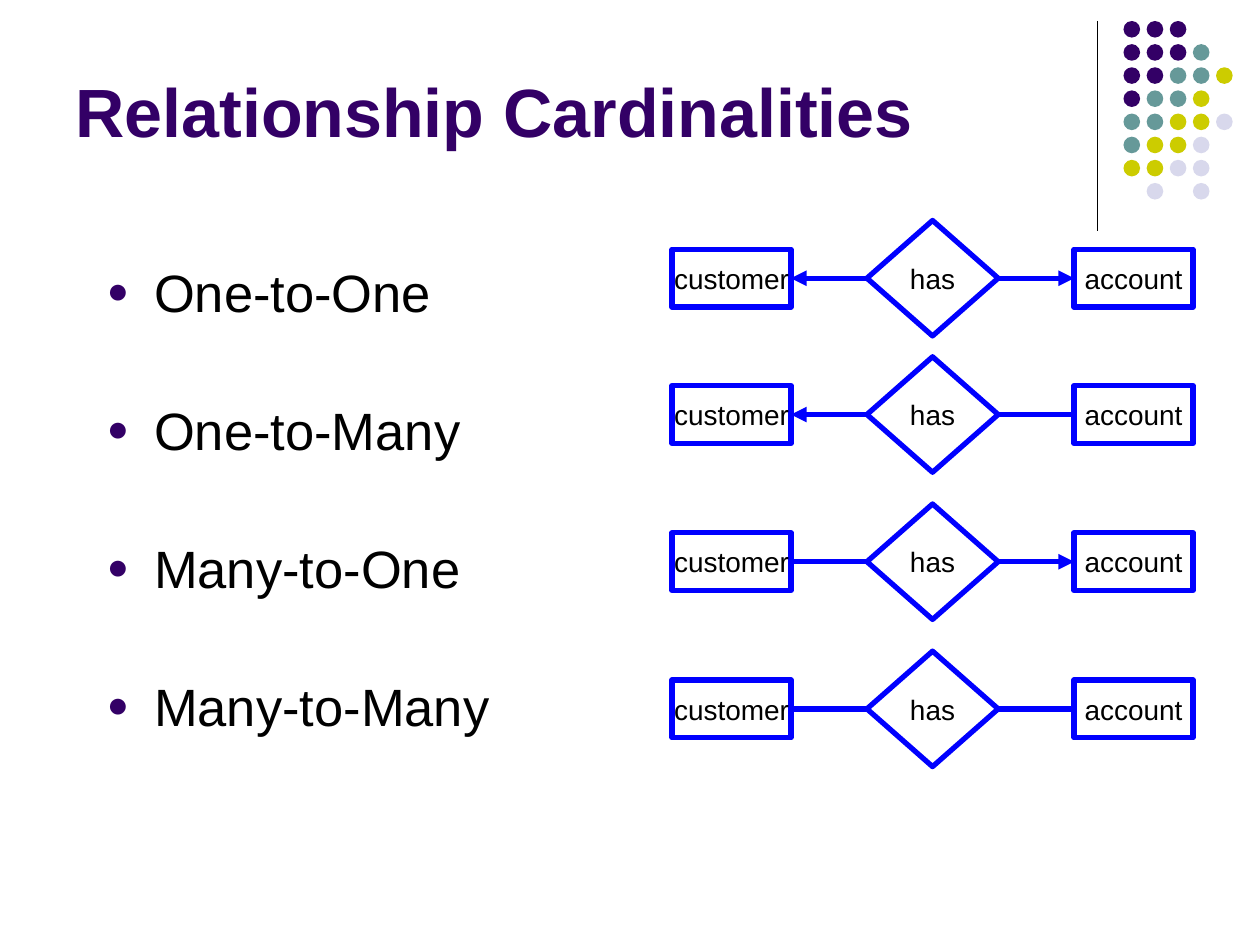
from lxml import etree
from pptx import Presentation
from pptx.dml.color import RGBColor
from pptx.enum.shapes import MSO_CONNECTOR, MSO_SHAPE
from pptx.enum.text import MSO_ANCHOR, PP_ALIGN
from pptx.oxml.ns import qn
from pptx.util import Pt

PURPLE = RGBColor(0x33, 0x00, 0x66)
TEAL = RGBColor(0x66, 0x99, 0x99)
OLIVE = RGBColor(0xCC, 0xCC, 0x00)
LAVENDER = RGBColor(0xD8, 0xD8, 0xEC)
BLUE = RGBColor(0x00, 0x00, 0xFF)
BLACK = RGBColor(0x00, 0x00, 0x00)

STRAIGHT = MSO_CONNECTOR.STRAIGHT
ELLIPSE, RECTANGLE, DIAMOND = MSO_SHAPE.OVAL, MSO_SHAPE.RECTANGLE, MSO_SHAPE.DIAMOND
MIDDLE, BOTTOM = MSO_ANCHOR.MIDDLE, MSO_ANCHOR.BOTTOM
CENTER = PP_ALIGN.CENTER

FONT = "Arial"
DOT_COLORS = {"P": PURPLE, "T": TEAL, "O": OLIVE, "L": LAVENDER}
DOT_ROWS = ["PPP", "PPPT", "PPTTO", "PTTO", "TTOOL", "TOOL", "OOLL", " L L"]
CARDINALITIES = ["One-to-One", "One-to-Many", "Many-to-One", "Many-to-Many"]
DIAGRAMS = [(126, True, True), (203.9, True, False),
            (288, False, True), (372.1, False, False)]


def style_runs(paragraph, size, color, bold=False):
    """Format every run of a paragraph."""
    for run in paragraph.runs:
        run.font.name = FONT
        run.font.size = Pt(size)
        run.font.bold = bold
        run.font.color.rgb = color


def add_line(slide, start, end, color, width, arrow=False):
    """Draw a straight line, with an arrowhead at its end if asked."""
    line = slide.shapes.add_connector(STRAIGHT, *map(Pt, start + end))
    line.line.color.rgb = color
    line.line.width = Pt(width)
    if arrow:
        etree.SubElement(line.line._get_or_add_ln(), qn("a:tailEnd"), type="triangle")
    etree.SubElement(line._element.spPr, qn("a:effectLst"))


def add_dots(slide, left, top, pitch, diameter):
    """Draw the coloured dot pattern in the corner."""
    for row, codes in enumerate(DOT_ROWS):
        for column, code in enumerate(codes):
            if code == " ":
                continue
            dot = slide.shapes.add_shape(
                ELLIPSE, Pt(left + column * pitch), Pt(top + row * pitch),
                Pt(diameter), Pt(diameter))
            dot.shadow.inherit = False
            dot.fill.solid()
            dot.fill.fore_color.rgb = DOT_COLORS[code]
            dot.line.fill.background()


def add_title(slide, left, top, width, height):
    """Place the slide title at the bottom of its box."""
    title = slide.shapes.add_textbox(Pt(left), Pt(top), Pt(width), Pt(height))
    frame = title.text_frame
    frame.text = "Relationship Cardinalities"
    frame.word_wrap = True
    frame.vertical_anchor = BOTTOM
    style_runs(frame.paragraphs[0], 39, PURPLE, bold=True)


def add_bullet(paragraph):
    """Give a paragraph a hanging round bullet."""
    properties = paragraph._p.get_or_add_pPr()
    properties.set("marL", str(Pt(27)))
    properties.set("indent", str(Pt(-27)))
    color = etree.SubElement(properties, qn("a:buClr"))
    etree.SubElement(color, qn("a:srgbClr"), val=str(PURPLE))
    etree.SubElement(properties, qn("a:buSzPct"), val="70000")
    etree.SubElement(properties, qn("a:buFont"), typeface=FONT)
    etree.SubElement(properties, qn("a:buChar"), char="●")


def add_cardinality_list(slide, left, top, width, height):
    """Place the bulleted list of cardinalities."""
    body = slide.shapes.add_textbox(Pt(left), Pt(top), Pt(width), Pt(height))
    frame = body.text_frame
    frame.word_wrap = True
    frame.margin_top = Pt(8)
    for index, cardinality in enumerate(CARDINALITIES):
        paragraph = frame.add_paragraph() if index else frame.paragraphs[0]
        paragraph.text = cardinality
        add_bullet(paragraph)
        paragraph.line_spacing = 1.9
        paragraph.space_before = Pt(10.5 if index else 0)
        style_runs(paragraph, 30, BLACK)


def add_node(slide, kind, label, left, center_y, width, height):
    """Draw an outlined, labelled node centred on a height."""
    node = slide.shapes.add_shape(
        kind, Pt(left), Pt(center_y - height / 2), Pt(width), Pt(height))
    node.shadow.inherit = False
    node.fill.background()
    node.line.color.rgb = BLUE
    node.line.width = Pt(3)
    frame = node.text_frame
    frame.text = label
    frame.word_wrap = False
    frame.vertical_anchor = MIDDLE
    frame.paragraphs[0].alignment = CENTER
    style_runs(frame.paragraphs[0], 16, BLACK)


def add_relationship(slide, left, top, width, height, one_customer, one_account):
    """Draw customer, has and account, with arrows on the sides that are one."""
    center_y = top + height / 2
    entity_width, entity_height, diamond_width = 68, 33, 75
    right = left + width
    diamond_left = left + (width - diamond_width) / 2
    diamond_right = diamond_left + diamond_width
    account_left = right - entity_width
    add_node(slide, RECTANGLE, "customer", left, center_y, entity_width, entity_height)
    add_node(slide, DIAMOND, "has", diamond_left, center_y, diamond_width, height)
    add_node(slide, RECTANGLE, "account", account_left, center_y,
             entity_width, entity_height)
    add_line(slide, (diamond_left, center_y), (left + entity_width, center_y),
             BLUE, 3, one_customer)
    add_line(slide, (diamond_right, center_y), (account_left, center_y),
             BLUE, 3, one_account)


def main():
    """Build the slide and save it."""
    presentation = Presentation()
    presentation.slide_width, presentation.slide_height = Pt(720), Pt(540)
    slide = presentation.slides.add_slide(presentation.slide_layouts[6])
    add_line(slide, (627, 12), (627, 132), BLACK, 0.75)
    add_dots(slide, left=642, top=12, pitch=13.22, diameter=9.5)
    add_title(slide, 36, 9.4, 594, 80.6)
    add_cardinality_list(slide, 54, 108, 612, 360)
    for top, one_customer, one_account in DIAGRAMS:
        add_relationship(slide, 384, top, 297.8, 66, one_customer, one_account)
    presentation.save("out.pptx")


if __name__ == "__main__":
    main()
